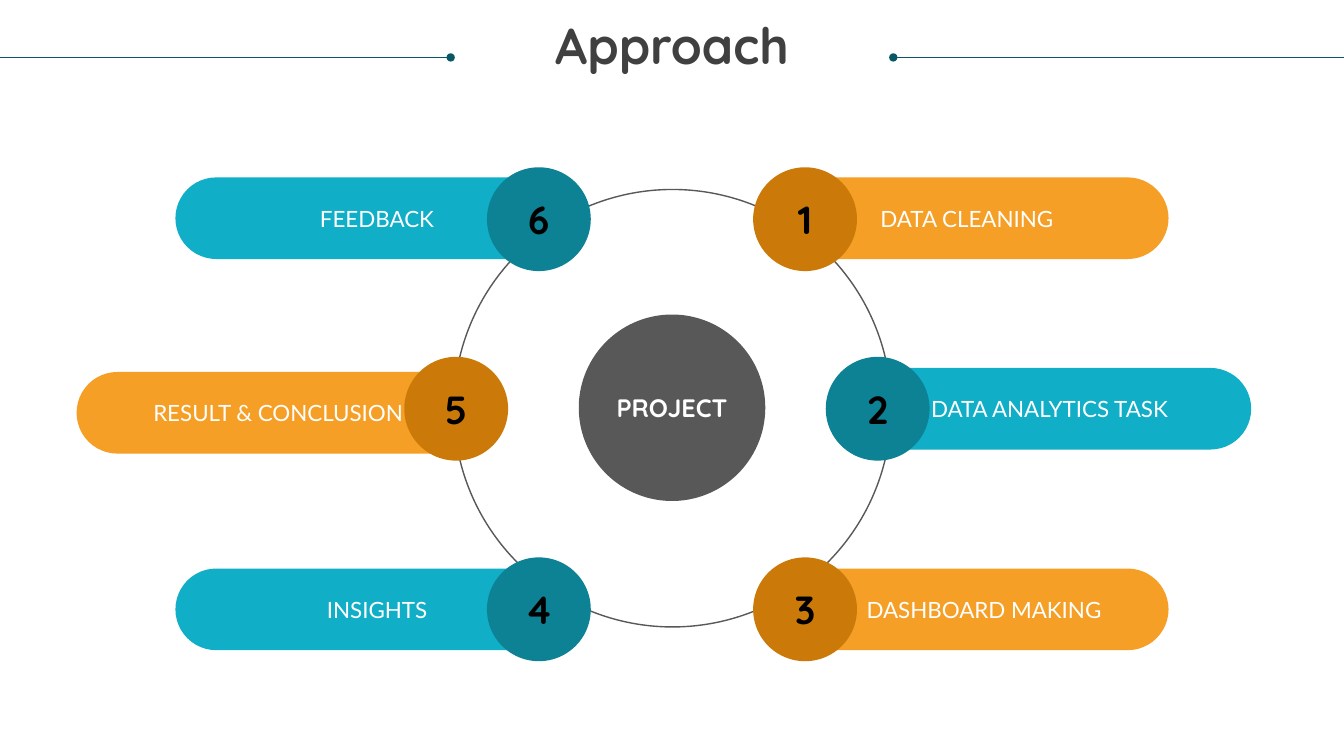
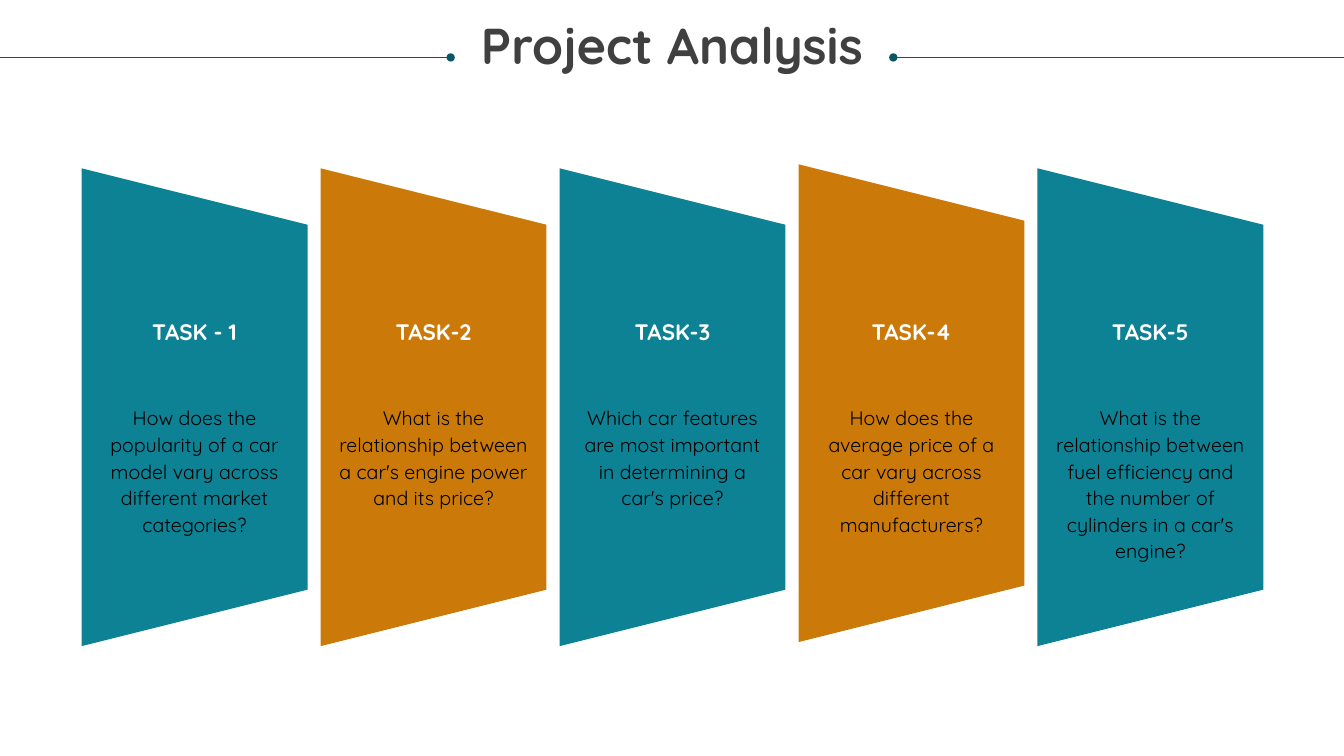
from pptx import Presentation
from pptx.dml.color import RGBColor
from pptx.enum.shapes import MSO_CONNECTOR, MSO_SHAPE
from pptx.enum.text import MSO_ANCHOR, PP_ALIGN
from pptx.oxml.ns import qn
from pptx.util import Inches, Pt
from lxml.etree import SubElement

RULE, TITLE, GREY, WHITE, BLACK = "085764", "404040", "585858", "FFFFFF", "000000"
TEAL, ORANGE = "0D8295", "CB7A09"
LIGHT = {TEAL: "11AEC7", ORANGE: "F59F26"}

TITLE_FONT = {"name": "Quicksand", "size": Pt(36), "bold": True}
HUB_FONT = {"name": "Quicksand", "size": Pt(18), "bold": True}
STEP_FONT = {"name": "Lato", "size": Pt(16)}
NUMBER_FONT = {"name": "Quicksand", "size": Pt(28), "bold": True}
TASK_FONT = {"name": "Quicksand", "size": Pt(16), "bold": True}
QUESTION_FONT = {"name": "Quicksand", "size": Pt(14)}


def write(holder, text, font, colour, spacing=None, anchor=MSO_ANCHOR.TOP, left_inset=0):
    frame = holder.text_frame
    layout = {"word_wrap": True, "vertical_anchor": anchor, "margin_left": Inches(left_inset),
              "margin_top": 0, "margin_right": 0, "margin_bottom": 0}
    for attribute, value in layout.items():
        setattr(frame, attribute, value)
    paragraph = frame.paragraphs[0]
    paragraph.alignment = PP_ALIGN.CENTER
    paragraph.line_spacing = spacing
    run = paragraph.add_run()
    run.text = text
    for attribute, value in font.items():
        setattr(run.font, attribute, value)
    run.font.color.rgb = RGBColor.from_string(colour)


def draw(slide, preset, left, top, width, height, fill=None, line=None):
    shape = slide.shapes.add_shape(preset, Inches(left), Inches(top), Inches(width), Inches(height))
    shape.shadow.inherit = False
    for part, colour in ((shape.fill, fill), (shape.line.fill, line)):
        if colour:
            part.solid()
            part.fore_color.rgb = RGBColor.from_string(colour)
        else:
            part.background()
    return shape


deck = Presentation()
deck.slide_width, deck.slide_height = Inches(13.33), Inches(7.5)

slides = []
for title in ("Approach", "Project Analysis"):
    slide = deck.slides.add_slide(deck.slide_layouts[6])
    heading = slide.shapes.add_textbox(Inches(0.25), Inches(0.21), Inches(12.83), Inches(0.97))
    write(heading, title, TITLE_FONT, TITLE, 0.9)
    for edge, dot in ((0, 4.47), (13.33, 8.86)):
        rule = slide.shapes.add_connector(
            MSO_CONNECTOR.STRAIGHT, Inches(edge), Inches(0.57), Inches(dot), Inches(0.57))
        rule.line.color.rgb = RGBColor.from_string(RULE)
        rule.line.width = Pt(0.5)
        properties = rule.element.spPr
        SubElement(properties.find(qn("a:ln")), qn("a:tailEnd"), type="oval")
        SubElement(properties, qn("a:effectLst"))
    slides.append(slide)
approach, analysis = slides

ring = draw(approach, MSO_SHAPE.OVAL, 4.5, 1.88, 4.34, 4.34, line=GREY)
ring.line.width = Pt(1)
hub = draw(approach, MSO_SHAPE.OVAL, 5.74, 3.12, 1.85, 1.85, GREY)
write(hub, "PROJECT", HUB_FONT, WHITE, anchor=MSO_ANCHOR.MIDDLE)

steps = (
    ("DATA CLEANING", 7.59, 1.76, 7.47, 1.66, 0),
    ("DATA ANALYTICS TASK", 8.41, 3.65, 8.19, 3.54, 0),
    ("DASHBOARD MAKING", 7.59, 5.64, 7.47, 5.53, 0.34),
    ("INSIGHTS", 1.74, 5.64, 4.83, 5.53, 0),
    ("RESULT & CONCLUSION", 0.76, 3.69, 4.01, 3.54, 0),
    ("FEEDBACK", 1.74, 1.76, 4.83, 1.66, 0),
)
for number, (step, bar_left, bar_top, badge_left, badge_top, inset) in enumerate(steps, 1):
    colour = ORANGE if number % 2 else TEAL
    bar = draw(approach, MSO_SHAPE.ROUNDED_RECTANGLE, bar_left, bar_top, 4, 0.81, LIGHT[colour])
    bar.adjustments[0] = 0.5
    write(bar, step, STEP_FONT, WHITE, anchor=MSO_ANCHOR.MIDDLE, left_inset=inset)
    badge = draw(approach, MSO_SHAPE.OVAL, badge_left, badge_top, 1.03, 1.03, colour)
    write(badge, str(number), NUMBER_FONT, BLACK, anchor=MSO_ANCHOR.MIDDLE)

tasks = (
    ("TASK - 1", "How does the popularity of a car model vary across different market categories?", 2.92),
    ("TASK-2", "What is the relationship between a car's engine power and its price?", 2.92),
    ("TASK-3", "Which car features are most important in determining a car's price?", 2.92),
    ("TASK-4", "How does the average price of a car vary across different manufacturers?", 2.88),
    ("TASK-5", "What is the relationship between fuel efficiency and the number of cylinders in a car's engine?", 2.92),
)
for column, (task, question, panel_top) in enumerate(tasks):
    center = 1.93 + column * 2.37
    panel = draw(analysis, MSO_SHAPE.TRAPEZOID, center - 2.37, panel_top, 4.74, 2.24,
                 ORANGE if column % 2 else TEAL)
    panel.rotation = 90
    for text, top, width, height, font, colour, spacing in (
        (task, 3.16, 1.5, 0.27, TASK_FONT, WHITE, None),
        (question, 4, 1.92, 1.58, QUESTION_FONT, BLACK, Pt(19)),
    ):
        label = analysis.shapes.add_textbox(
            Inches(center - width / 2), Inches(top), Inches(width), Inches(height))
        write(label, text, font, colour, spacing)

deck.save("out.pptx")
